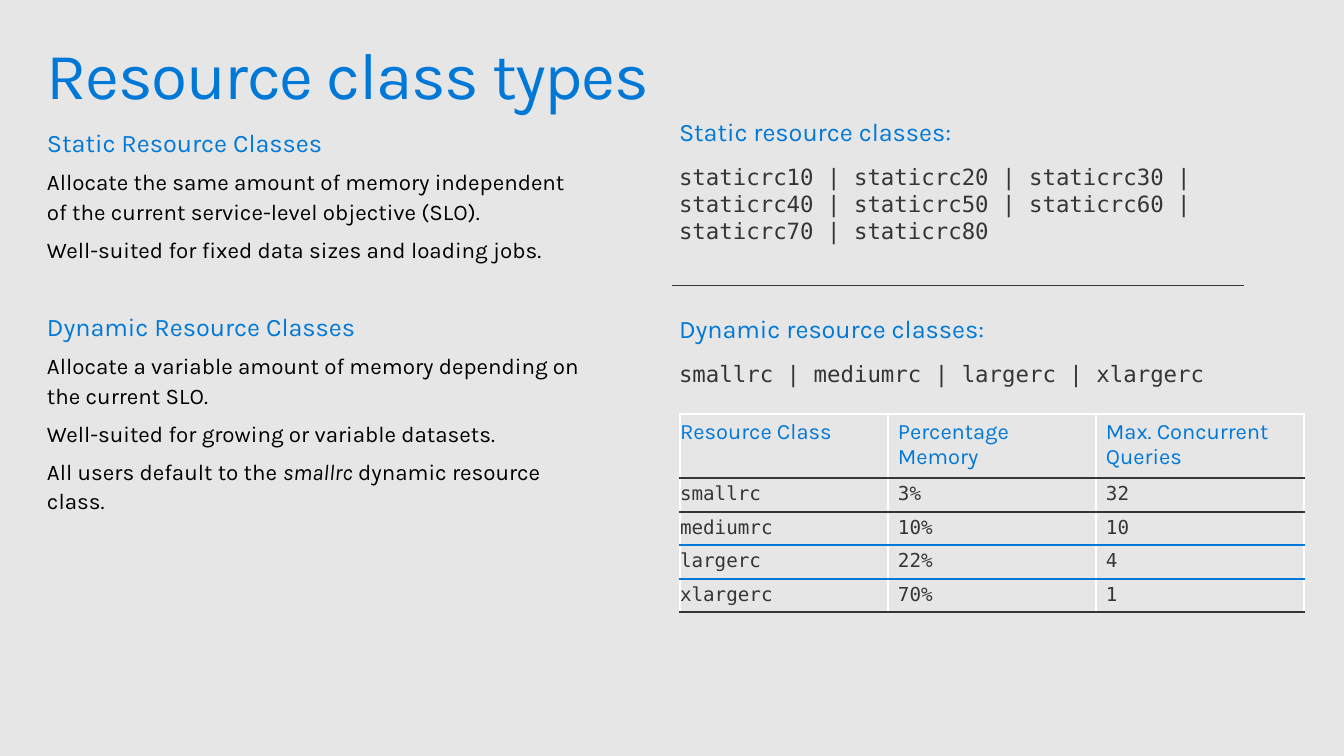
from lxml import etree
from pptx import Presentation, util as u
from pptx.dml.color import RGBColor
from pptx.enum import shapes, text
from pptx.oxml import ns

# Content
SANS, MONO = "Karla", "DejaVu Sans Mono"
BLUE, BLACK, GREY, WHITE, PAPER = "0078D7", "000000", "353535", "FFFFFF", "E6E6E6"
TITLE = "Resource class types"
SECTIONS = [
    ("Static Resource Classes", [
        [("Allocate the same amount of memory independent of the current "
          "service-level objective (SLO).", False)],
        [("Well-suited for fixed data sizes and loading jobs.", False)],
    ]),
    ("Dynamic Resource Classes", [
        [("Allocate a variable amount of memory depending on the current SLO.", False)],
        [("Well-suited for growing or variable datasets.", False)],
        [("All users default to the ", False), ("smallrc", True),
         (" dynamic resource class.", False)],
    ]),
]
# Heading, class names, top, height
CLASS_LISTS = [
    ("Static resource classes:",
     "staticrc10 | staticrc20 | staticrc30 | staticrc40 | "
     "staticrc50 | staticrc60 | staticrc70 | staticrc80", 106, 152),
    ("Dynamic resource classes:", "smallrc | mediumrc | largerc | xlargerc", 303, 99),
]
# Row height, colour of the line below, cells
TABLE_ROWS = [
    (64, GREY, ("Resource Class", "Percentage Memory", "Max. Concurrent Queries")),
    (34, GREY, ("smallrc", "3%", "32")),
    (33, BLUE, ("mediumrc", "10%", "10")),
    (34, BLUE, ("largerc", "22%", "4")),
    (33, GREY, ("xlargerc", "70%", "1")),
]
COLUMN_WIDTH = 208
HEADING_SIZE, TEXT_SIZE = 18.4, 16.3


def px(value):
    return u.Emu(round(value * 914400 / 98.8))


def color(value):
    return RGBColor.from_string(value)


def place(shape, left, top, width, height):
    shape.left, shape.top, shape.width, shape.height = map(px, (left, top, width, height))


def set_frame(frame, left, top, right, bottom):
    frame.margin_left, frame.margin_top = px(left), px(top)
    frame.margin_right, frame.margin_bottom = px(right), px(bottom)
    frame.word_wrap = True
    frame.auto_size = text.MSO_AUTO_SIZE.NONE
    frame.vertical_anchor = text.MSO_ANCHOR.TOP


def next_paragraph(frame):
    """Return the empty first paragraph, or a new one after it."""
    first = frame.paragraphs[0]
    paragraph = frame.add_paragraph() if first.runs else first
    paragraph.alignment = text.PP_ALIGN.LEFT
    paragraph.space_before = u.Pt(0)
    return paragraph


def add_run(paragraph, words, size, font, hue, italic=False):
    run = paragraph.add_run()
    run.text = words
    run.font.size, run.font.name = u.Pt(size), font
    run.font.bold, run.font.italic = False, italic
    run.font.color.rgb = color(hue)
    return run


def body_paragraph(frame, gap=0):
    paragraph = next_paragraph(frame)
    properties = paragraph._p.get_or_add_pPr()
    properties.set("marL", "0")
    properties.set("indent", "0")
    etree.SubElement(properties, ns.qn("a:buNone"))
    paragraph.line_spacing = 1.1
    paragraph.space_before, paragraph.space_after = u.Pt(gap), u.Pt(6.1)
    return paragraph


def set_borders(cell, **hues):
    properties = cell._tc.get_or_add_tcPr()
    for index, side in enumerate("LRTB"):
        line = etree.Element(ns.qn(f"a:ln{side}"), w=str(u.Pt(1)))
        fill = etree.SubElement(line, ns.qn("a:solidFill"))
        etree.SubElement(fill, ns.qn("a:srgbClr"), val=hues[side])
        properties.insert(index, line)


def add_class_list(slide, heading, names, top, height):
    box = slide.shapes.add_textbox(px(663), px(top), px(614), px(height))
    frame = box.text_frame
    set_frame(frame, 16, 10, 16, 10)
    add_run(next_paragraph(frame), heading, HEADING_SIZE, SANS, BLUE)
    paragraph = next_paragraph(frame)
    paragraph.space_before = u.Pt(12.2)
    add_run(paragraph, names, TEXT_SIZE, MONO, GREY)


def add_class_table(slide):
    columns = len(TABLE_ROWS[0][2])
    height = sum(row[0] for row in TABLE_ROWS)
    table = slide.shapes.add_table(len(TABLE_ROWS), columns, px(680), px(414),
                                   px(columns * COLUMN_WIDTH), px(height)).table
    table.first_row = table.horz_banding = False
    for column in table.columns:
        column.width = px(COLUMN_WIDTH)
    above = WHITE
    for i, (row_height, below, words) in enumerate(TABLE_ROWS):
        table.rows[i].height = px(row_height)
        size, font, hue = (14, MONO, GREY) if i else (16, SANS, BLUE)
        for j, word in enumerate(words):
            cell = table.cell(i, j)
            cell.fill.background()
            cell.margin_left, cell.margin_right = px(10 if j else 0), px(10)
            cell.margin_top = cell.margin_bottom = px(5)
            set_borders(cell, L=WHITE, R=WHITE, T=above, B=below)
            add_run(next_paragraph(cell.text_frame), word, size, font, hue)
        above = below


def main():
    presentation = Presentation()
    presentation.slide_width, presentation.slide_height = px(1344), px(756)
    slide = presentation.slides.add_slide(presentation.slide_layouts[1])
    slide.background.fill.solid()
    slide.background.fill.fore_color.rgb = color(PAPER)

    # Title
    title = slide.shapes.title
    place(title, 47, 25, 1250, 81)
    set_frame(title.text_frame, 0, 18, 0, 0)
    paragraph = next_paragraph(title.text_frame)
    paragraph.line_spacing = 0.9
    run = add_run(paragraph, TITLE, 48, SANS, BLUE)
    run._r.get_or_add_rPr().set("spc", "-100")

    # Descriptions on the left
    body = slide.placeholders[1]
    place(body, 47, 124, 539, 362)
    set_frame(body.text_frame, 0, 0, 0, 0)
    for i, (heading, descriptions) in enumerate(SECTIONS):
        paragraph = body_paragraph(body.text_frame, gap=27 if i else 0)
        add_run(paragraph, heading, HEADING_SIZE, SANS, BLUE)
        for description in descriptions:
            paragraph = body_paragraph(body.text_frame)
            for words, italic in description:
                add_run(paragraph, words, TEXT_SIZE, SANS, BLACK, italic)

    # Class names and table on the right
    for class_list in CLASS_LISTS:
        add_class_list(slide, *class_list)
    add_class_table(slide)

    # Divider
    divider = slide.shapes.add_connector(shapes.MSO_CONNECTOR.STRAIGHT,
                                         px(672), px(286), px(1244), px(286))
    divider.line.color.rgb = color(GREY)
    divider.line.width = u.Pt(0.75)
    etree.SubElement(divider._element.spPr, ns.qn("a:effectLst"))

    presentation.save("out.pptx")


if __name__ == "__main__":
    main()
